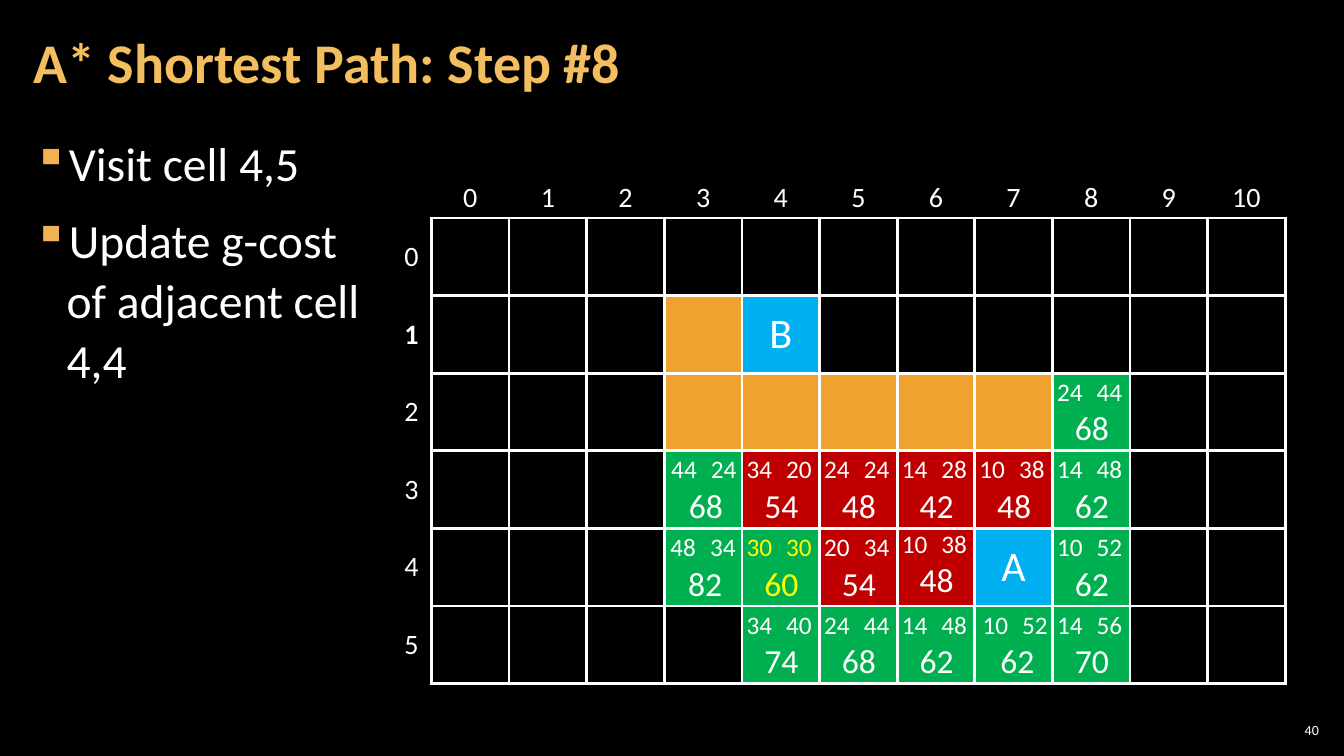
from dataclasses import dataclass

from lxml.etree import SubElement
from pptx import Presentation
from pptx.dml.color import RGBColor
from pptx.enum.text import MSO_ANCHOR, PP_ALIGN
from pptx.oxml.ns import qn
from pptx.util import Inches, Length, Pt

BLACK = RGBColor(0x00, 0x00, 0x00)
WHITE = RGBColor(0xFF, 0xFF, 0xFF)
GOLD = RGBColor(0xF3, 0xBE, 0x60)
BULLET = RGBColor(0xF2, 0xB2, 0x54)
WALL = RGBColor(0xF0, 0xA2, 0x2E)
ENDPOINT = RGBColor(0x00, 0xB0, 0xF0)
OPEN = RGBColor(0x00, 0xB0, 0x50)
VISITED = RGBColor(0xC0, 0x00, 0x00)
UPDATED = RGBColor(0xFF, 0xFF, 0x00)

FONT = "Calibri"
SLIDE_WIDTH, SLIDE_HEIGHT = Inches(13.33), Inches(7.5)
COLUMNS, ROWS = 11, 6
CELL, HEADER = Inches(0.77), Inches(0.4)
MAP_LEFT, MAP_TOP = Inches(3.88), Inches(1.75)
SIDE_INSET, EDGE_INSET = Inches(0.08), Inches(0.04)


@dataclass(frozen=True)
class Visit:
    """A reached cell with its costs; nudges are shares of a cell."""
    row: int
    column: int
    g_cost: int
    h_cost: int
    fill: RGBColor = OPEN
    color: RGBColor = WHITE
    nudge_x: float = 0
    nudge_y: float = 0


@dataclass(frozen=True)
class CostLabel:
    """Place and size of a cost, as shares of a cell."""
    left: float
    top: float
    width: float
    height: float
    size: int
    align: PP_ALIGN


G_LABEL = CostLabel(-0.07, -0.01, 0.65, 0.52, 18, PP_ALIGN.LEFT)
H_LABEL = CostLabel(0.44, -0.01, 0.65, 0.52, 18, PP_ALIGN.LEFT)
F_LABEL = CostLabel(0.02, 0.39, 0.97, 0.65, 24, PP_ALIGN.CENTER)

VISITS = [
    Visit(2, 8, 24, 44),
    Visit(3, 3, 44, 24, nudge_x=0.03),
    Visit(3, 4, 34, 20, VISITED),
    Visit(3, 5, 24, 24, VISITED),
    Visit(3, 6, 14, 28, VISITED),
    Visit(3, 7, 10, 38, VISITED),
    Visit(3, 8, 14, 48),
    Visit(4, 3, 48, 34, nudge_x=0.02),
    Visit(4, 4, 30, 30, color=UPDATED),
    Visit(4, 5, 20, 34, VISITED),
    Visit(4, 6, 10, 38, VISITED, nudge_y=-0.04),
    Visit(4, 8, 10, 52),
    Visit(5, 4, 34, 40),
    Visit(5, 5, 24, 44),
    Visit(5, 6, 14, 48),
    Visit(5, 7, 10, 52, nudge_x=0.04),
    Visit(5, 8, 14, 56),
]
WALLS = [(1, 3)] + [(2, column) for column in range(3, 8)]
ENDPOINTS = {(1, 4): "B", (4, 7): "A"}


def style(paragraph, size: int, color: RGBColor = WHITE, bold: bool = False,
          align: PP_ALIGN = PP_ALIGN.LEFT) -> None:
    paragraph.alignment = align
    font = paragraph.font
    font.name, font.size, font.bold = FONT, Pt(size), bold
    font.color.rgb = color


def add_frame(slide, left: float, top: float, width: float, height: float, side_inset: Length):
    """Add a text frame placed by percentages of the slide's size."""
    frame = slide.shapes.add_textbox(
        int(SLIDE_WIDTH * left / 100), int(SLIDE_HEIGHT * top / 100),
        int(SLIDE_WIDTH * width / 100), int(SLIDE_HEIGHT * height / 100)).text_frame
    frame.word_wrap = True
    frame.margin_left = frame.margin_right = side_inset
    frame.margin_top = frame.margin_bottom = EDGE_INSET
    return frame


def add_bullet(paragraph) -> None:
    properties = paragraph._p.get_or_add_pPr()
    properties.set("marL", str(Inches(0.33)))
    properties.set("indent", str(-Inches(0.33)))
    color = SubElement(properties, qn("a:buClr"))
    SubElement(color, qn("a:srgbClr"), val=str(BULLET))
    SubElement(properties, qn("a:buChar"), char="▪")


def set_borders(cell, sides: str) -> None:
    """Rule the given sides (of L, R, T, B) and leave the others bare."""
    properties = cell._tc.get_or_add_tcPr()
    for position, side in enumerate("LRTB"):
        line = properties.makeelement(qn(f"a:ln{side}"), {"w": str(Pt(2.25))})
        if side in sides:
            fill = SubElement(line, qn("a:solidFill"))
            SubElement(fill, qn("a:srgbClr"), val=str(WHITE))
        else:
            SubElement(line, qn("a:noFill"))
        properties.insert(position, line)


def add_map(slide) -> None:
    table = slide.shapes.add_table(ROWS + 1, COLUMNS + 1, MAP_LEFT, MAP_TOP,
                                   HEADER + COLUMNS * CELL, HEADER + ROWS * CELL).table
    table.first_row = table.horz_banding = False
    for index, column in enumerate(table.columns):
        column.width = CELL if index else HEADER
    for index, row in enumerate(table.rows):
        row.height = CELL if index else HEADER

    fills = {(visit.row, visit.column): visit.fill for visit in VISITS}
    fills |= dict.fromkeys(WALLS, WALL) | dict.fromkeys(ENDPOINTS, ENDPOINT)
    for row in range(-1, ROWS):
        for column in range(-1, COLUMNS):
            cell = table.cell(row + 1, column + 1)
            cell.margin_left = cell.margin_right = SIDE_INSET
            cell.margin_top = cell.margin_bottom = EDGE_INSET
            cell.vertical_anchor = MSO_ANCHOR.MIDDLE
            if (row, column) in fills:
                cell.fill.solid()
                cell.fill.fore_color.rgb = fills[row, column]
            else:
                cell.fill.background()

            # Headings along the top and the left, endpoints inside
            text, size, sides = ENDPOINTS.get((row, column), ""), 30, "LRTB"
            if row < 0 and column < 0:
                sides = ""
            elif row < 0:
                text, size, sides = str(column), 20, "B"
            elif column < 0:
                text, size, sides = str(row), 20, "R"
            set_borders(cell, sides)
            if text:
                paragraph = cell.text_frame.paragraphs[0]
                paragraph.text = text
                style(paragraph, size, bold=(row, column) == (1, -1), align=PP_ALIGN.CENTER)


def add_costs(slide, visit: Visit) -> None:
    group = slide.shapes.add_group_shape()
    costs = [(F_LABEL, visit.g_cost + visit.h_cost),
             (G_LABEL, visit.g_cost), (H_LABEL, visit.h_cost)]
    for label, cost in costs:
        frame = group.shapes.add_textbox(
            int(MAP_LEFT + HEADER + CELL * (visit.column + label.left + visit.nudge_x)),
            int(MAP_TOP + HEADER + CELL * (visit.row + label.top + visit.nudge_y)),
            int(CELL * label.width), int(CELL * label.height)).text_frame
        frame.word_wrap = True
        paragraph = frame.paragraphs[0]
        paragraph.text = str(cost)
        style(paragraph, label.size, visit.color, align=label.align)


def main() -> None:
    presentation = Presentation()
    presentation.slide_width, presentation.slide_height = SLIDE_WIDTH, SLIDE_HEIGHT
    slide = presentation.slides.add_slide(presentation.slide_layouts[6])
    slide.background.fill.solid()
    slide.background.fill.fore_color.rgb = BLACK

    # Slide number
    number = add_frame(slide, 94.9, 95.2, 3.53, 2.8, EDGE_INSET)
    number.vertical_anchor = MSO_ANCHOR.MIDDLE
    number.text = "40"
    style(number.paragraphs[0], 10, align=PP_ALIGN.RIGHT)

    # Actions of this step
    actions = add_frame(slide, 1.58, 16.8, 96.85, 81.2, Inches(0.12))
    for index, action in enumerate(["Visit cell 4,5", "Update g-cost\nof adjacent cell\n4,4"]):
        paragraph = actions.add_paragraph() if index else actions.paragraphs[0]
        paragraph.text = action
        add_bullet(paragraph)
        paragraph.line_spacing = 1.05
        paragraph.space_before = Pt(6 if index else 0)
        paragraph.space_after = Pt(6)
        style(paragraph, 34)

    # Title
    title = add_frame(slide, 1.58, 0.53, 78.54, 16.13, Inches(0.12))
    title.vertical_anchor = MSO_ANCHOR.MIDDLE
    title.text = "A* Shortest Path: Step #8"
    title.paragraphs[0].line_spacing = 0.9
    style(title.paragraphs[0], 40, GOLD, bold=True)

    # Map with the costs of the reached cells
    add_map(slide)
    for visit in VISITS:
        add_costs(slide, visit)
    presentation.save("out.pptx")


if __name__ == "__main__":
    main()
